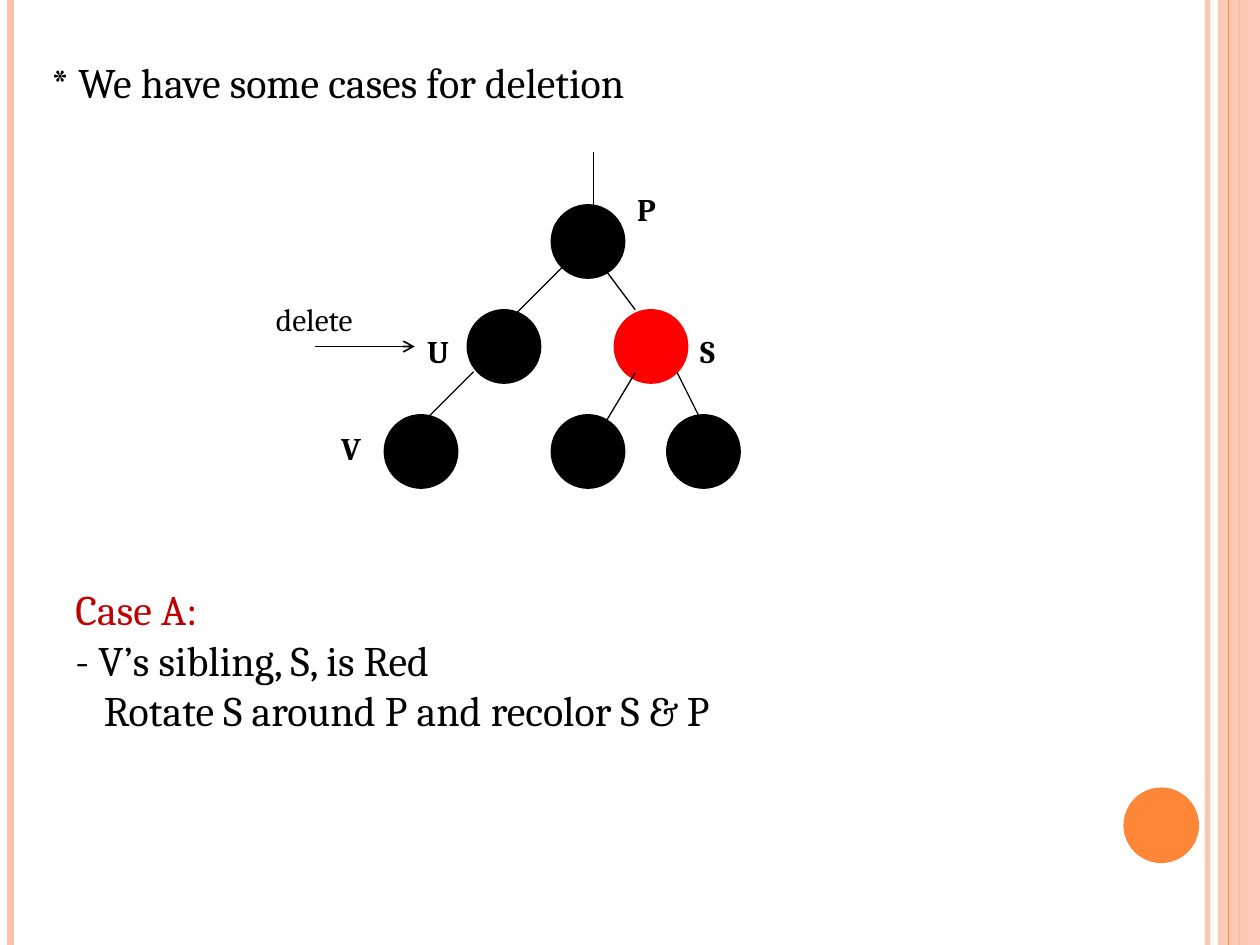
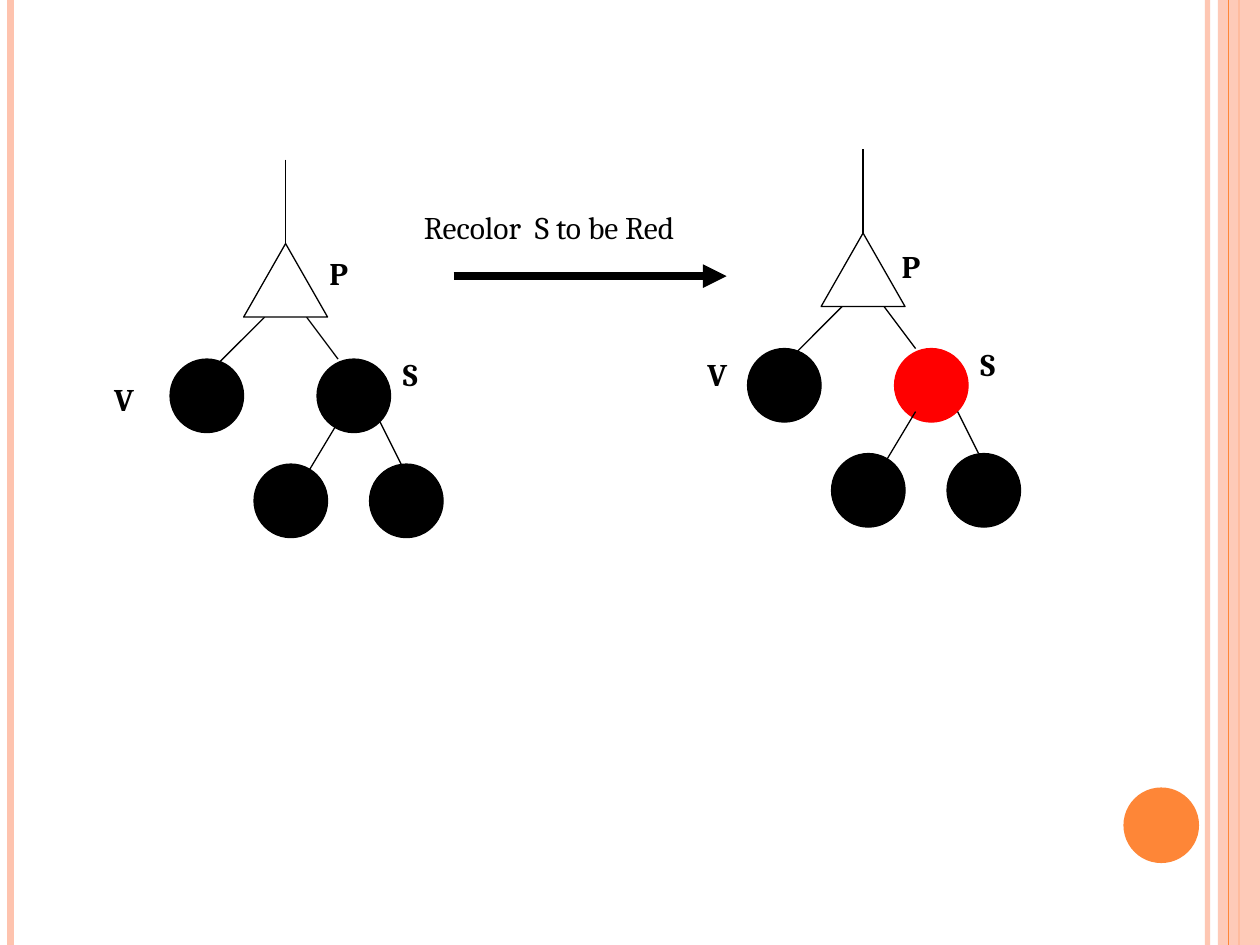
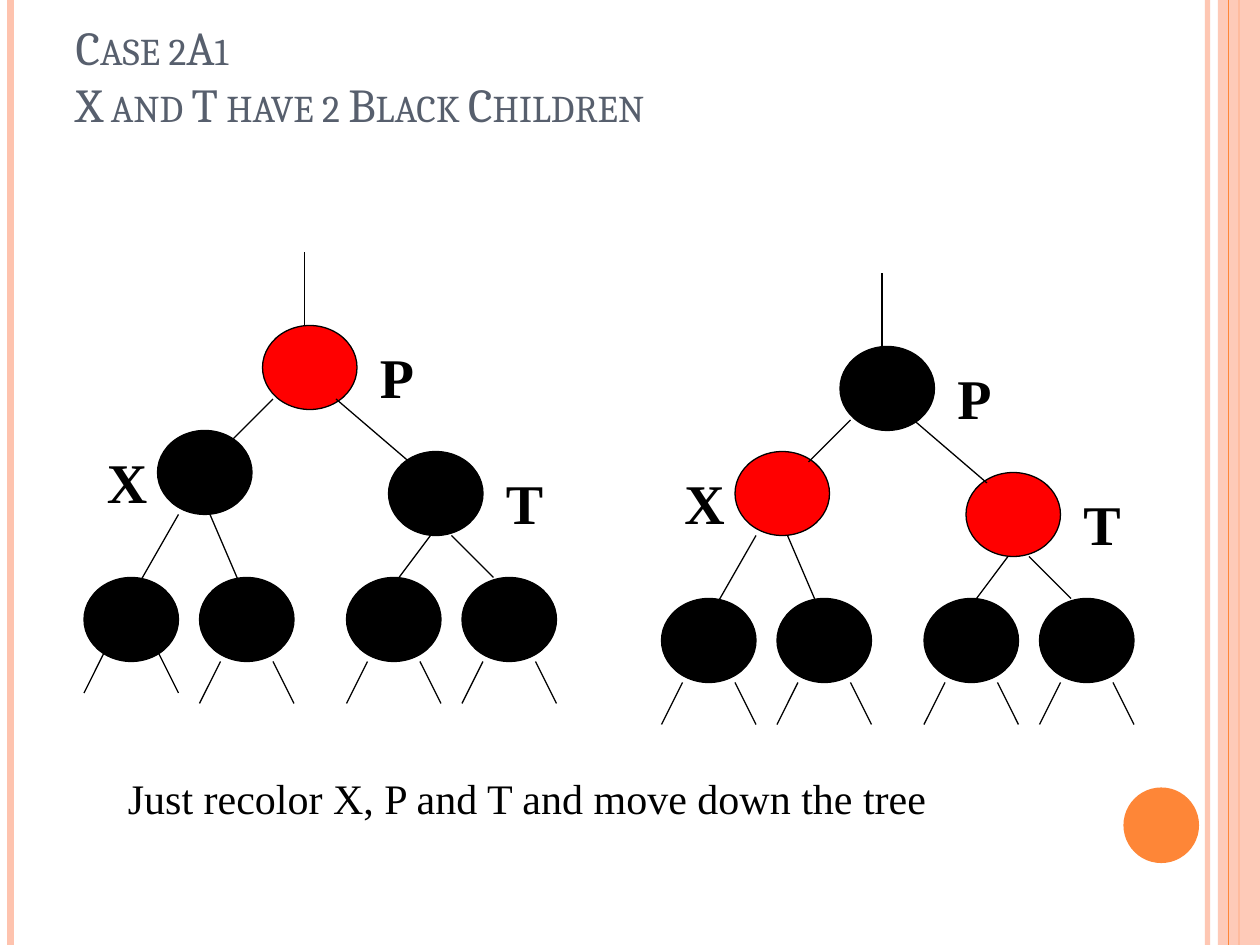
from lxml import etree
from pptx import Presentation
from pptx.dml.color import RGBColor
from pptx.enum import shapes, text
from pptx.oxml import ns
from pptx.util import Pt

PX = 7620  # EMU per px, 120 px to the inch
WIDTH, HEIGHT = 1200, 900

BLACK = RGBColor(0x00, 0x00, 0x00)
WHITE = RGBColor(0xFF, 0xFF, 0xFF)
RED = RGBColor(0xFF, 0x00, 0x00)
CASE_RED = RGBColor(0xC0, 0x00, 0x00)
PEACH = RGBColor(0xFE, 0xC3, 0xAE)
ORANGE = RGBColor(0xFE, 0x86, 0x37)
SLATE = RGBColor(0x57, 0x5F, 0x6D)

SERIF, TIMES = "Cambria", "Times New Roman"
OVAL, TRIANGLE = shapes.MSO_SHAPE.OVAL, shapes.MSO_SHAPE.ISOSCELES_TRIANGLE

# Deletion trees, measured from the top left of P's node
NODE = (70, 70)
DELETION_NODES = {"left": (-80, 100), "S": (60, 100), "inner": (0, 200), "outer": (110, 200)}
DELETION_EDGES = [
    (10, 60, -40, 110), (50, 60, 80, 100),
    (80, 160, 50, 210), (120, 160, 140, 200),
]
CASE_A_ORIGIN = (525, 195)
CASE_A_LABELS = [("P", 595, 175, 40), ("S", 655, 310, 50), ("U", 395, 310, 100), ("V", 313, 403, 100)]
CASE_A_TEXT = [
    ("Case A:", CASE_RED, 0),
    ("- V’s sibling, S, is Red", BLACK, 0),
    ("Rotate S around P and recolor S & P", BLACK, 27),
]
RECOLOR_TREES = [
    ((242, 242), BLACK, [("P", 302, 236, 40), ("S", 372, 332, 50), ("V", 97, 356, 100)]),
    ((792, 232), RED, [("P", 847, 229, 110), ("S", 922, 323, 50), ("V", 662, 332, 100)]),
]

# Case 2A1 trees, measured from the slide corner and then shifted
WIDE_NODE = (90, 80)
INNER_NODES = {"X": (150, 410), "P": (250, 310), "T": (370, 430)}
CHILDREN = [(80, 550), (190, 550), (330, 550), (440, 550)]
CASE_2A1_EDGES = [
    (290, 310, 290, 240), (260, 380, 220, 420), (320, 380, 390, 440),
    (170, 490, 130, 560), (200, 490, 230, 560),
    (410, 510, 380, 550), (430, 510, 470, 550),
]
CHILD_STUBS = [(20, 80, 0, 120), (70, 80, 90, 120)]
CASE_2A1_LABELS = [("P", 350, 320), ("T", 470, 440), ("X", 90, 420)]
# shift, colours, and how far the first child's stubs are raised
CASE_2A1_TREES = [
    ((0, 0), {"X": BLACK, "P": RED, "T": BLACK}, 10),
    ((550, 20), {"X": RED, "P": BLACK, "T": RED}, 0),
]
CASE_2A1_TITLE = "Case 2A1\vX and T have 2 Black Children\v"


def emu(*lengths):
    return [round(length * PX) for length in lengths]


def shifted(line, origin):
    x, y = origin
    return line[0] + x, line[1] + y, line[2] + x, line[3] + y


def set_alpha(shape, percent):
    color = shape.element.spPr.find(".//" + ns.qn("a:srgbClr"))
    etree.SubElement(color, ns.qn("a:alpha"), val=str(percent * 1000))


def add_line(slide, ends, color=BLACK, width=0.75, arrow=None):
    line = slide.shapes.add_connector(shapes.MSO_CONNECTOR.STRAIGHT, *emu(*ends))
    line.line.color.rgb = color
    line.line.width = Pt(width)
    if arrow:
        etree.SubElement(line.line._get_or_add_ln(), ns.qn("a:tailEnd"), type=arrow)
    etree.SubElement(line.element.spPr, ns.qn("a:effectLst"))
    return line


def add_shape(slide, kind, box, fill, outline=None):
    shape = slide.shapes.add_shape(kind, *emu(*box))
    shape.shadow.inherit = False
    shape.fill.solid()
    shape.fill.fore_color.rgb = fill
    if outline is None:
        shape.line.fill.background()
    else:
        shape.line.color.rgb = outline
        shape.line.width = Pt(0.75)
    return shape


def add_text(slide, box, lines, size, font=SERIF, bold=False):
    """Lines are (words, colour, left indent) tuples."""
    frame = slide.shapes.add_textbox(*emu(*box)).text_frame
    frame.word_wrap = True
    for index, (words, color, indent) in enumerate(lines):
        paragraph = frame.add_paragraph() if index else frame.paragraphs[0]
        paragraph.text = words
        if indent:
            paragraph._p.get_or_add_pPr().set("marL", str(indent * PX))
        paragraph.font.name = font
        paragraph.font.size = Pt(size)
        paragraph.font.bold = bold
        paragraph.font.color.rgb = color


def add_labels(slide, labels):
    for name, x, y, width in labels:
        add_text(slide, (x, y, width, 48), [(name, BLACK, 0)], 18, bold=True)


def add_deletion_tree(slide, origin, sibling_color):
    """Draws everything below P; the caller draws P itself."""
    x, y = origin
    for name, (dx, dy) in DELETION_NODES.items():
        color = sibling_color if name == "S" else BLACK
        add_shape(slide, OVAL, (x + dx, y + dy, *NODE), color, color)
    for edge in DELETION_EDGES:
        add_line(slide, shifted(edge, origin))


def style_master(presentation, slide):
    """Builds the bands on a slide, then moves them to the master behind its placeholders."""
    def rule(x, color, width):
        return add_line(slide, (x, 0, x, HEIGHT), color, width)

    right_rule = rule(1150, PEACH, 3)
    set_alpha(right_rule, 93)
    bands = [right_rule, rule(10, PEACH, 4.5), rule(1180, ORANGE, 1.5)]
    side = add_shape(slide, shapes.MSO_SHAPE.RECTANGLE, (1160, 0, 40, HEIGHT), PEACH)
    set_alpha(side, 87)
    bands += [side, rule(1170, ORANGE, 0.75),
              add_shape(slide, OVAL, (1070, 750, 72, 72), ORANGE)]

    master = presentation.slide_master.element
    for index, band in enumerate(bands):
        band.element.find(".//" + ns.qn("p:cNvPr")).set("id", str(100 + index))
        master.cSld.spTree.insert(2 + index, band.element)

    level = master.find(".//" + ns.qn("p:titleStyle")).find(ns.qn("a:lvl1pPr"))
    level.set("algn", "l")
    font = level.find(ns.qn("a:defRPr"))
    font.set("sz", "2700")
    font.set("cap", "small")
    fill = font.find(ns.qn("a:solidFill"))
    fill.clear()
    etree.SubElement(fill, ns.qn("a:srgbClr"), val=str(SLATE))
    font.find(ns.qn("a:latin")).set("typeface", SERIF)


def build_case_a(slide):
    add_text(slide, (37, 48, 1050, 60), [("* We have some cases for deletion", BLACK, 0)], 24)
    add_shape(slide, OVAL, (*CASE_A_ORIGIN, *NODE), BLACK, BLACK)
    add_deletion_tree(slide, CASE_A_ORIGIN, RED)
    add_line(slide, (565, 205, 565, 145))
    add_shape(slide, OVAL, (366, 395, *NODE), BLACK, BLACK)
    add_line(slide, (451, 354, 401, 404))
    add_labels(slide, CASE_A_LABELS)
    add_text(slide, (60, 550, 980, 206), CASE_A_TEXT, 24)
    add_line(slide, (300, 330, 395, 330), width=1, arrow="arrow")
    add_text(slide, (251, 280, 126, 48), [("delete", BLACK, 0)], 18)


def build_recolor(slide):
    for origin, sibling_color, labels in RECOLOR_TREES:
        x, y = origin
        add_deletion_tree(slide, origin, sibling_color)
        add_shape(slide, TRIANGLE, (x - 10, y - 10, 80, 70), WHITE, BLACK)
        add_line(slide, shifted((30, -90, 30, -10), origin))
        add_labels(slide, labels)
    add_line(slide, (432, 263, 692, 263), width=4.5, arrow="triangle")
    add_text(slide, (392, 192, 340, 103), [("Recolor  S to be Red", BLACK, 0)], 18)


def build_case_2a1(slide):
    title = slide.shapes.title
    title.left, title.top, title.width, title.height = emu(60, 36, 980, 150)
    title.text_frame.text = CASE_2A1_TITLE
    title.text_frame.vertical_anchor = text.MSO_ANCHOR.BOTTOM
    title.text_frame.auto_size = text.MSO_AUTO_SIZE.NONE

    for shift, colors, raised in CASE_2A1_TREES:
        dx, dy = shift
        nodes = [(place, colors[name]) for name, place in INNER_NODES.items()]
        nodes += [(place, BLACK) for place in CHILDREN]
        for (x, y), color in nodes:
            add_shape(slide, OVAL, (x + dx, y + dy, *WIDE_NODE), color, BLACK)
        for edge in CASE_2A1_EDGES:
            add_line(slide, shifted(edge, shift))
        for index, (x, y) in enumerate(CHILDREN):
            lift = 0 if index else raised
            for stub in CHILD_STUBS:
                add_line(slide, shifted(stub, (x + dx, y + dy - lift)))
        for name, x, y in CASE_2A1_LABELS:
            add_text(slide, (x + dx, y + dy, 60, 76), [(name, BLACK, 0)], 32, TIMES, True)
    add_text(slide, (110, 730, 940, 60),
             [("Just recolor X, P and T and move down the tree", BLACK, 0)], 24, TIMES)


def main():
    presentation = Presentation()
    presentation.slide_width, presentation.slide_height = emu(WIDTH, HEIGHT)
    title_only, blank = presentation.slide_layouts[5], presentation.slide_layouts[6]
    case_a, recolor, case_2a1 = [
        presentation.slides.add_slide(layout) for layout in (blank, blank, title_only)
    ]
    style_master(presentation, case_a)
    build_case_a(case_a)
    build_recolor(recolor)
    build_case_2a1(case_2a1)
    presentation.save("out.pptx")


if __name__ == "__main__":
    main()
